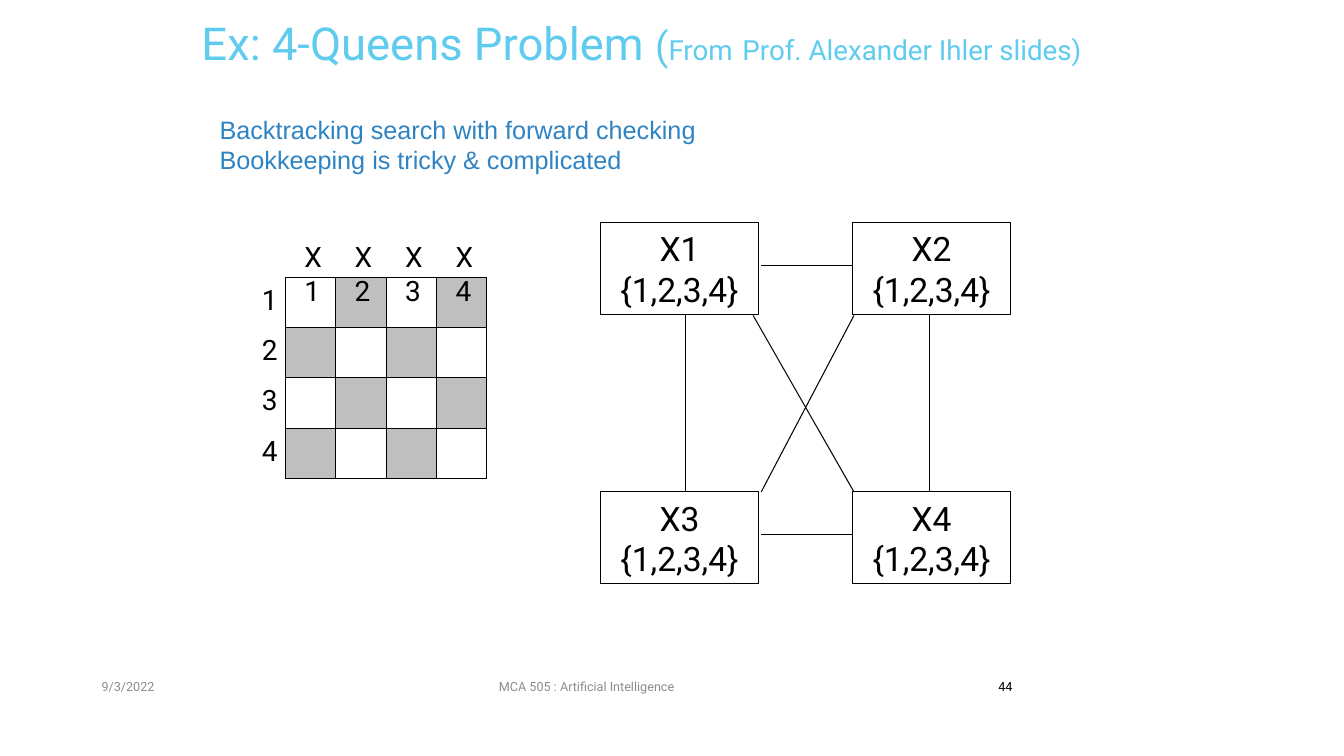
import pptx
import pptx.dml.color
import pptx.enum.shapes
import pptx.enum.text
import pptx.oxml.ns
import pptx.util
from lxml import etree

PX = 9144  # one hundredth of an inch
BLACK, GRAY, SKY, BLUE, SHADE = "000000", "8C8C8C", "5FCBEF", "2E83C3", "BFBFBF"
ALIGN = pptx.enum.text.PP_ALIGN
ANCHOR = pptx.enum.text.MSO_ANCHOR


def px(*lengths):
    return [pptx.util.Emu(length * PX) for length in lengths]


def color(value):
    return pptx.dml.color.RGBColor.from_string(value)


def format_span(span, size, shade, font="Roboto"):
    span.font.size = pptx.util.Pt(size)
    span.font.name = font
    span.font.color.rgb = color(shade)


def write(shape, text, size, shade=BLACK, font="Roboto", align=ALIGN.LEFT,
          anchor=ANCHOR.TOP, wrap=False):
    frame = shape.text_frame
    frame.text = text
    frame.word_wrap = wrap
    frame.vertical_anchor = anchor
    for para in frame.paragraphs:
        para.alignment = align
        for span in para.runs:
            format_span(span, size, shade, font)


def add_text(page, box, text, size, **style):
    write(page.shapes.add_textbox(*px(*box)), text, size, **style)


def add_rectangle(page, box, fill=None):
    kind = pptx.enum.shapes.MSO_SHAPE.RECTANGLE
    shape = page.shapes.add_shape(kind, *px(*box))
    shape.shadow.inherit = False
    if fill:
        shape.fill.solid()
        shape.fill.fore_color.rgb = color(fill)
    else:
        shape.fill.background()
    shape.line.color.rgb = color(BLACK)
    shape.line.width = pptx.util.Pt(0.75)
    return shape


def add_line(page, *ends):
    kind = pptx.enum.shapes.MSO_CONNECTOR.STRAIGHT
    line = page.shapes.add_connector(kind, *px(*ends))
    line.line.color.rgb = color(BLACK)
    line.line.width = pptx.util.Pt(0.75)
    properties = line._element.spPr
    etree.SubElement(properties, pptx.oxml.ns.qn("a:effectLst"))


def add_title(page, box):
    shape = page.shapes.add_textbox(*px(*box))
    shape.text_frame.word_wrap = True
    para = shape.text_frame.paragraphs[0]
    for text, size in (("Ex: 4-Queens Problem ", 32.4), ("(", 27.9), ("From", 19.8),
                       (" ", 27.9), ("Prof. Alexander Ihler slides)", 19.8)):
        span = para.add_run()
        span.text = text
        format_span(span, size, SKY)


def add_constraint_graph(page, box):
    """Four variables with their domains, each joined to every other."""
    left, top, width, height = box
    node_width, node_height = 156, 91
    right, bottom = left + width - node_width, top + height - node_height
    corners = [(left, top), (right, top), (left, bottom), (right, bottom)]
    for number, (x, y) in enumerate(corners, 1):
        node = add_rectangle(page, (x, y, node_width, node_height))
        write(node, f"X{number}\n{{1,2,3,4}}", 24, align=ALIGN.CENTER,
              anchor=ANCHOR.MIDDLE)

    gap_left, upper = left + node_width + 3, top + node_height + 1
    for y in (top, bottom):
        add_line(page, gap_left, y + 42, right, y + 42)
    for x in (left + 84, right + 76):
        add_line(page, x, upper, x, bottom)
    add_line(page, gap_left - 8, upper, right + 1, bottom)
    add_line(page, right + 1, upper, gap_left, bottom)


def add_board(page, box):
    """Chessboard with numbered rows and one variable per column."""
    left, top, width, height = box
    count = 4
    cell = width // count
    add_rectangle(page, box)
    for row in range(count):
        for column in range(count):
            if (row + column) % 2:
                square = (left + column * cell, top + row * cell, cell, cell)
                add_rectangle(page, square, SHADE)
    for index in range(count):
        offset = index * cell
        add_text(page, (left - 33, top + offset, 35, 44), str(index + 1), 20)
        add_text(page, (left + 9 + offset, top - 42, 50, 44), f"X{index + 1}", 20,
                 wrap=True)


def add_footer(page, box):
    left, top, width, height = box
    for x, part_width, text, shade, align in (
            (0, 100, "9/3/2022", GRAY, ALIGN.RIGHT),
            (422, 211, "MCA 505 : Artificial Intelligence", GRAY, ALIGN.LEFT),
            (width - 75, 75, "44", BLACK, ALIGN.RIGHT)):
        add_text(page, (left + x, top, part_width, height), text, 9, shade=shade,
                 align=align, anchor=ANCHOR.MIDDLE, wrap=True)


def main():
    deck = pptx.Presentation()
    deck.slide_width, deck.slide_height = px(1333, 750)
    page = deck.slides.add_slide(deck.slide_layouts[6])
    add_title(page, (190, 10, 908, 112))
    add_constraint_graph(page, (596, 221, 406, 358))
    add_text(page, (208, 108, 497, 71),
             "Backtracking search with forward checking\n"
             "Bookkeeping is tricky & complicated", 18, shade=BLUE, font="Arial")
    add_board(page, (283, 275, 200, 200))
    add_footer(page, (63, 661, 951, 40))
    deck.save("out.pptx")


if __name__ == "__main__":
    main()
